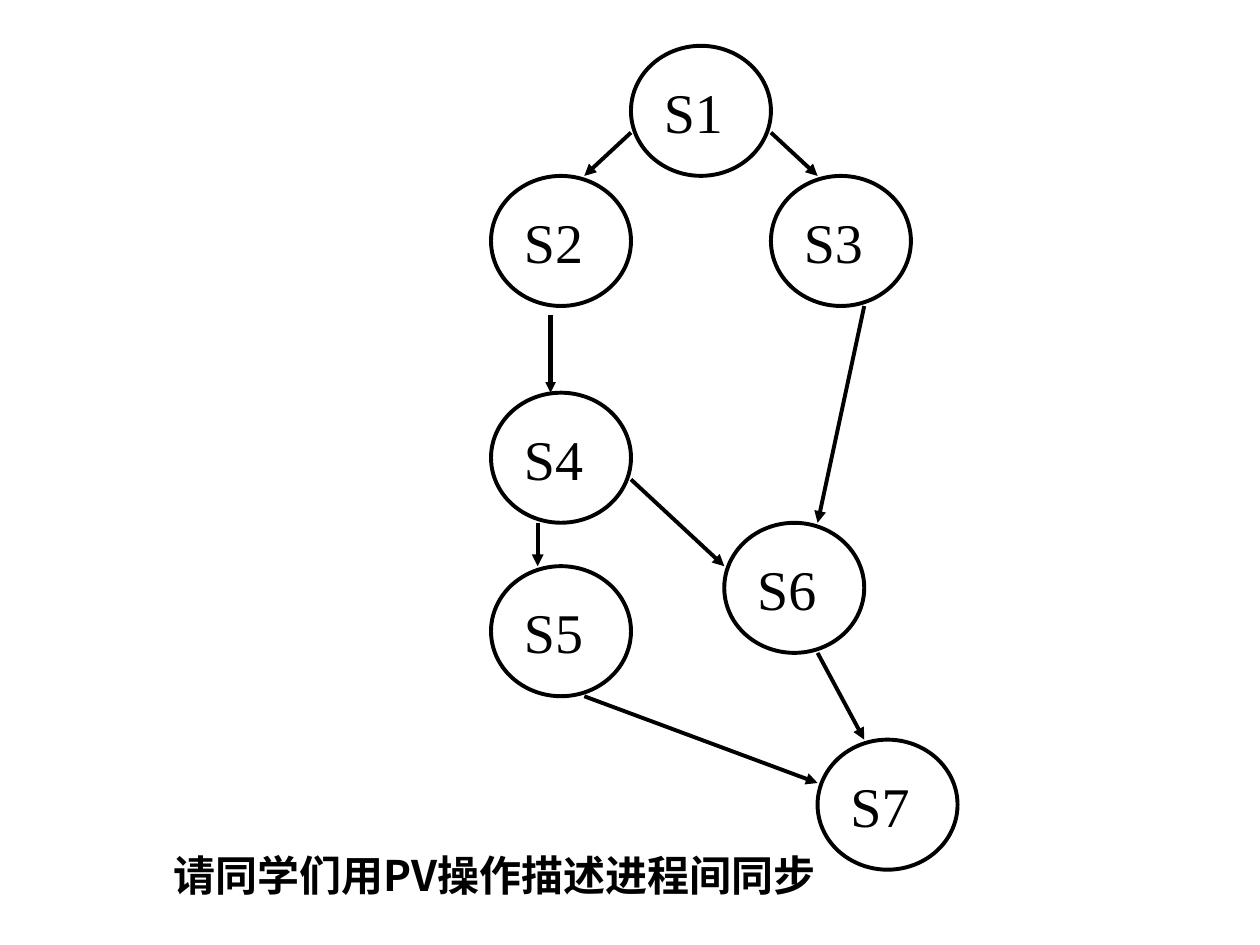
from lxml import etree
from pptx import Presentation
from pptx.dml.color import RGBColor
from pptx.enum.shapes import MSO_CONNECTOR, MSO_SHAPE
from pptx.enum.text import MSO_ANCHOR, PP_ALIGN
from pptx.oxml.ns import qn
from pptx.util import Pt

LINE = MSO_CONNECTOR.STRAIGHT
OVAL = MSO_SHAPE.OVAL
MIDDLE = MSO_ANCHOR.MIDDLE
JUSTIFY = PP_ALIGN.JUSTIFY

BLACK, WHITE = "000000", "FFFFFF"
SERIF, SANS = "Times New Roman", "Noto Sans CJK SC"
COLS, ROWS, SPAN = 10, 19, 3  # grid of the graph; a node spans 3 by 3 cells

NODES = {  # column and row of the top left cell
    "S1": (3, 0), "S2": (0, 3), "S3": (6, 3), "S4": (0, 8),
    "S5": (0, 12), "S6": (5, 11), "S7": (7, 16),
}
EDGES = [  # grid points: from, to
    ((3, 2), (2, 3)), ((6, 2), (7, 3)), ((1, 11), (1, 12)),
    ((3, 10), (5, 12)), ((8, 6), (7, 11)), ((2, 15), (7, 17)),
    ((7, 14), (8, 16)),
]


def color(code):
    return RGBColor.from_string(code)


def style(para, face, size, bold=False):
    font = para.font
    font.name, font.size, font.bold = face, Pt(size), bold
    font.color.rgb = color(BLACK)


def add_node(shapes, name, x, y, w, h):
    node = shapes.add_shape(OVAL, Pt(x), Pt(y), Pt(w), Pt(h))
    node.shadow.inherit = False
    node.fill.solid()
    node.fill.fore_color.rgb = color(WHITE)
    node.line.color.rgb = color(BLACK)
    node.line.width = Pt(2.25)
    frame = node.text_frame
    frame.vertical_anchor = MIDDLE
    para = frame.paragraphs[0]
    para.text = name
    para.alignment = JUSTIFY
    style(para, SERIF, 32)


def add_arrow(shapes, start, end, width=2.25, head="med"):
    arrow = shapes.add_connector(LINE, *map(Pt, start + end))
    arrow.line.color.rgb = color(BLACK)
    arrow.line.width = Pt(width)
    etree.SubElement(arrow.line._get_or_add_ln(), qn("a:tailEnd"),
                     type="triangle", w=head, len=head)
    etree.SubElement(arrow._element.spPr, qn("a:effectLst"))


def add_graph(slide, x, y, w, h):
    dx, dy = w / COLS, h / ROWS

    def point(col, row):
        return x + col * dx, y + row * dy

    group = slide.shapes.add_group_shape().shapes
    for name, cell in NODES.items():
        add_node(group, name, *point(*cell), SPAN * dx, SPAN * dy)
    for start, end in EDGES:
        add_arrow(group, point(*start), point(*end))
    mid = x + 34
    add_arrow(slide.shapes, (mid, y + 6.2 * dy), (mid, y + 8 * dy), 3, "sm")


def add_task(slide, x, y, w, h):
    box = slide.shapes.add_textbox(Pt(x), Pt(y), Pt(w), Pt(h))
    frame = box.text_frame
    frame.word_wrap = True
    para = frame.paragraphs[0]
    run = para.add_run()
    run.text = "请同学们用PV操作描述进程间同步"
    style(para, SANS, 24, bold=True)
    etree.SubElement(run._r.get_or_add_rPr(), qn("a:ea"), typeface=SANS)


def main():
    deck = Presentation()
    deck.slide_width, deck.slide_height = Pt(720), Pt(540)
    slide = deck.slides.add_slide(deck.slide_layouts[6])
    add_graph(slide, 280.6, 26.2, 266.6, 470.8)
    add_task(slide, 92, 481.8, 398, 36)
    deck.save("out.pptx")


if __name__ == "__main__":
    main()
